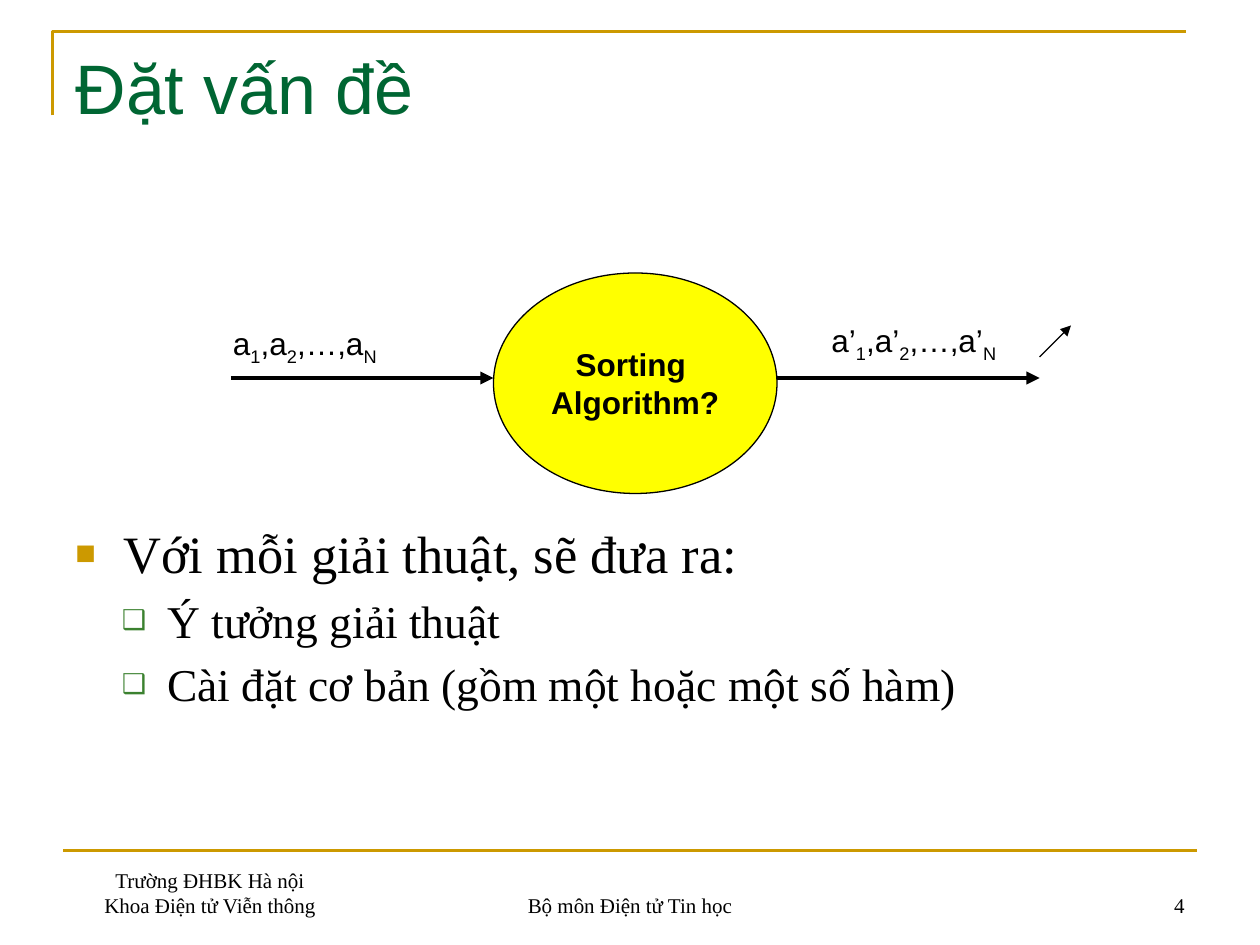
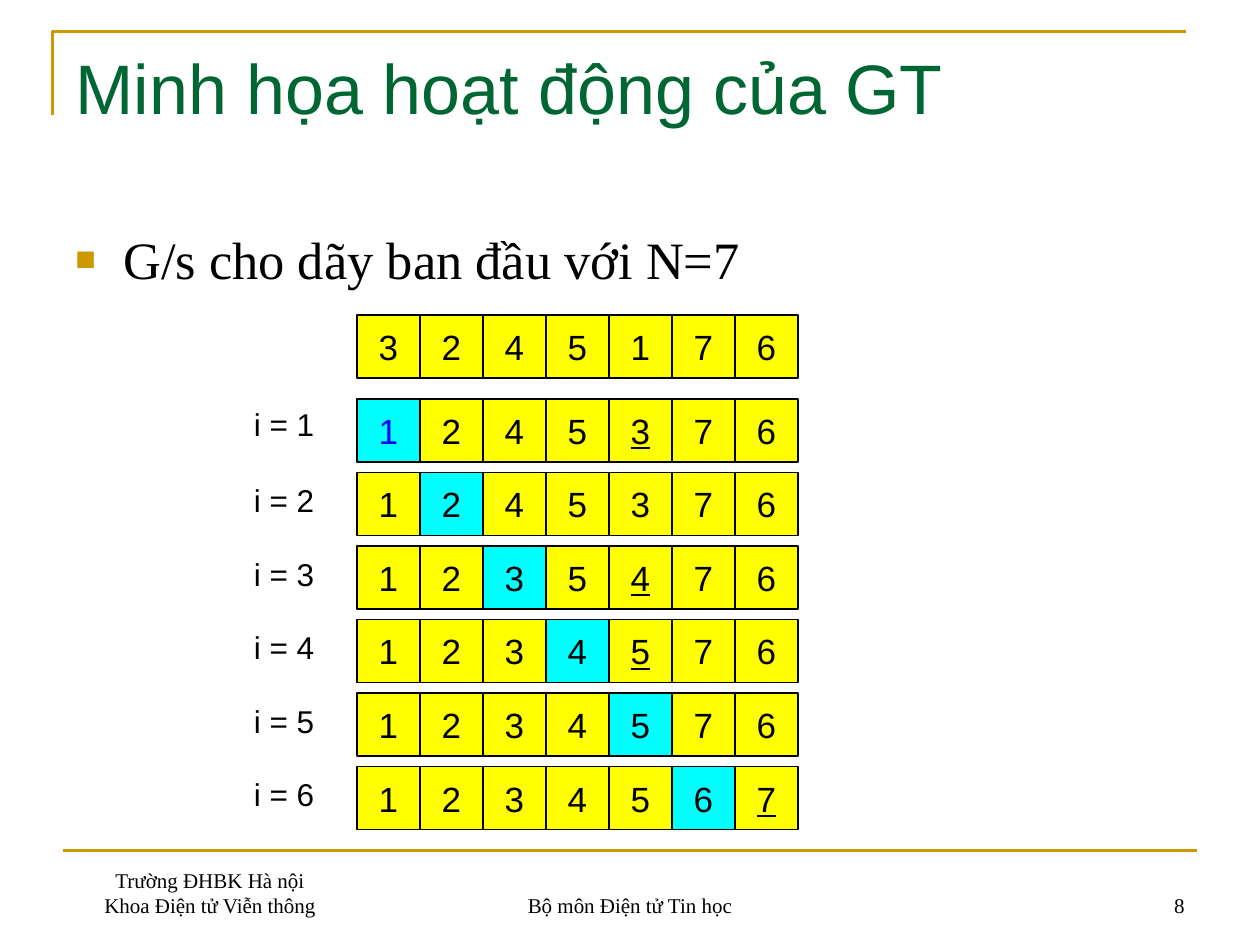
from lxml import etree
from pptx import Presentation
from pptx.dml.color import RGBColor
from pptx.enum.shapes import MSO_CONNECTOR, MSO_SHAPE
from pptx.enum.text import MSO_ANCHOR, PP_ALIGN
from pptx.oxml.ns import qn
from pptx.util import Inches, Pt

STRAIGHT = MSO_CONNECTOR.STRAIGHT
OVAL, RECT = MSO_SHAPE.OVAL, MSO_SHAPE.RECTANGLE
LEFT, MID, RIGHT = PP_ALIGN.LEFT, PP_ALIGN.CENTER, PP_ALIGN.RIGHT
TOP, CENTER, BOTTOM = MSO_ANCHOR.TOP, MSO_ANCHOR.MIDDLE, MSO_ANCHOR.BOTTOM

HEX = {"gold": "CC9900", "green": "006633", "leaf": "3B812F", "black": "000000",
       "yellow": "FFFF00", "cyan": "00FFFF", "blue": "0000FF"}
RGB = {name: RGBColor.from_string(code) for name, code in HEX.items()}
SANS, SERIF = "Arial", "Times New Roman"

# Grid: 120 columns by 90 rows, twelve to the inch
UNIT = Inches(1) // 12


def write(shape, lines, size, face=SANS, align=LEFT, anchor=TOP, wrap=True, color="black"):
    """Fill a shape with paragraphs; a line is a string or a list of runs."""
    frame = shape.text_frame
    frame.word_wrap, frame.vertical_anchor = wrap, anchor
    for n, line in enumerate(lines):
        para = frame.paragraphs[0] if n == 0 else frame.add_paragraph()
        para.alignment = align
        for part in [line] if isinstance(line, str) else line:
            run = para.add_run()
            run.text = part
            run.font.size, run.font.name = Pt(size), face
            run.font.color.rgb = RGB[color]
    return frame.paragraphs


def rule(slide, ends, color, width, arrow=False):
    """Draw a straight line between two grid points."""
    line = slide.shapes.add_connector(STRAIGHT, *[v * UNIT for v in ends])
    line.line.color.rgb, line.line.width = RGB[color], Pt(width)
    if arrow:
        etree.SubElement(line.line._get_or_add_ln(), qn("a:tailEnd"), type="triangle")
    etree.SubElement(line._element.spPr, qn("a:effectLst"))


deck = Presentation()
deck.slide_width, deck.slide_height = 120 * UNIT, 90 * UNIT

# Level: size, left margin, hanging indent, bullet, bullet colour, bullet percent
LEVELS = [(30, 0.38, 0.38, "■", "gold", 65), (26, 0.73, 0.36, "❑", "leaf", 60)]
FOOT = [(6, 28, MID, ["Trường ĐHBK Hà nội", "Khoa Điện tử Viễn thông"]),
        (41, 38, MID, ["Bộ môn Điện tử Tin học"])]
PAGES = [
    ("Đặt vấn đề", "4", 49, [(0, "Với mỗi giải thuật, sẽ đưa ra:"),
                             (1, "Ý tưởng giải thuật"),
                             (1, "Cài đặt cơ bản (gồm một hoặc một số hàm)")]),
    ("Minh họa hoạt động của GT", "8", 21, [(0, "G/s cho dãy ban đầu với N=7")]),
]

# Shared frame, title, bullets and footer
for name, page, top, items in PAGES:
    slide = deck.slides.add_slide(deck.slide_layouts[5])

    pen = slide.shapes.build_freeform(5 * UNIT, 11 * UNIT)
    pen.add_line_segments([(5 * UNIT, 3 * UNIT), (113 * UNIT, 3 * UNIT)], close=False)
    frame = pen.convert_to_shape()
    frame.fill.background()
    frame.shadow.inherit = False
    frame.line.color.rgb, frame.line.width = RGB["gold"], Pt(1.5)
    rule(slide, (6, 81, 114, 81), "gold", 1.5)

    for left, width, align, lines in FOOT + [(86, 28, RIGHT, [page])]:
        box = slide.shapes.add_textbox(left * UNIT, 82 * UNIT, width * UNIT, 6 * UNIT)
        write(box, lines, 12, SERIF, align, BOTTOM)

    title = slide.shapes.title
    title.left, title.top = 6 * UNIT, Inches(0.3)
    title.width, title.height = 108 * UNIT, 15 * UNIT
    write(title, [name], 40, color="green")

    body = slide.shapes.add_textbox(6 * UNIT, top * UNIT, 108 * UNIT, (80 - top) * UNIT)
    paras = write(body, [words for _, words in items], 30, SERIF)
    for para, (level, _) in zip(paras, items):
        size, margin, hang, mark, tint, share = LEVELS[level]
        para.level, para.space_before = level, Pt(size / 5)
        para.runs[0].font.size = Pt(size)
        props = para._p.get_or_add_pPr()
        props.set("marL", str(Inches(margin)))
        props.set("indent", str(-Inches(hang)))
        paint = etree.SubElement(props, qn("a:buClr"))
        etree.SubElement(paint, qn("a:srgbClr"), val=HEX[tint])
        etree.SubElement(props, qn("a:buSzPct"), val=str(share * 1000))
        etree.SubElement(props, qn("a:buFont"), typeface=SANS)
        etree.SubElement(props, qn("a:buChar"), char=mark)

flow, trace = deck.slides

# Flow: input, sorting, sorted output
oval = flow.shapes.add_shape(OVAL, 47 * UNIT, 26 * UNIT, 27 * UNIT, 21 * UNIT)
oval.shadow.inherit = False
oval.fill.solid()
oval.fill.fore_color.rgb = RGB["yellow"]
oval.line.color.rgb, oval.line.width = RGB["black"], Pt(0.75)
for para in write(oval, ["Sorting ", "Algorithm?"], 18, SANS, MID, CENTER, False):
    para.runs[0].font.bold = True

rule(flow, (22, 36, 47, 36), "black", 2.5, True)
rule(flow, (74, 36, 99, 36), "black", 2.5, True)
rule(flow, (99, 34, 102, 31), "black", 0.75, True)

for left, top, item in [(21, 2.52, "a"), (78, 2.5, "a’")]:
    box = flow.shapes.add_textbox(left * UNIT, Inches(top), 21 * UNIT, Inches(0.4))
    parts = [item, "1", "," + item, "2", ",…," + item, "N"]
    para = write(box, [parts], 18)[0]
    for run in para.runs[1::2]:
        run.font._element.set("baseline", "-25000")

# Trace: selection sort, one row of cells a step
nums = [3, 2, 4, 5, 1, 7, 6]
for step in range(len(nums)):
    here = swap = None
    top = 30
    if step:
        here = step - 1
        low = nums.index(min(nums[here:]))
        if low != here:
            nums[here], nums[low] = nums[low], nums[here]
            swap = low
        top = 31 + 7 * step
        drop = Inches(0.02) if step > 1 else 0
        box = trace.shapes.add_textbox(23 * UNIT, top * UNIT + drop, 10 * UNIT, Inches(0.4))
        write(box, [f"i = {step}"], 18)
    for col, num in enumerate(nums):
        cell = trace.shapes.add_shape(RECT, (34 + 6 * col) * UNIT, top * UNIT, 6 * UNIT, 6 * UNIT)
        cell.shadow.inherit = False
        cell.fill.solid()
        cell.fill.fore_color.rgb = RGB["cyan" if col == here else "yellow"]
        cell.line.color.rgb, cell.line.width = RGB["black"], Pt(0.75)
        ink = "blue" if step == 1 and col == here else "black"
        para = write(cell, [str(num)], 20, SANS, MID, CENTER, False, ink)[0]
        if col == swap:
            para.runs[0].font.underline = True

deck.save("out.pptx")
